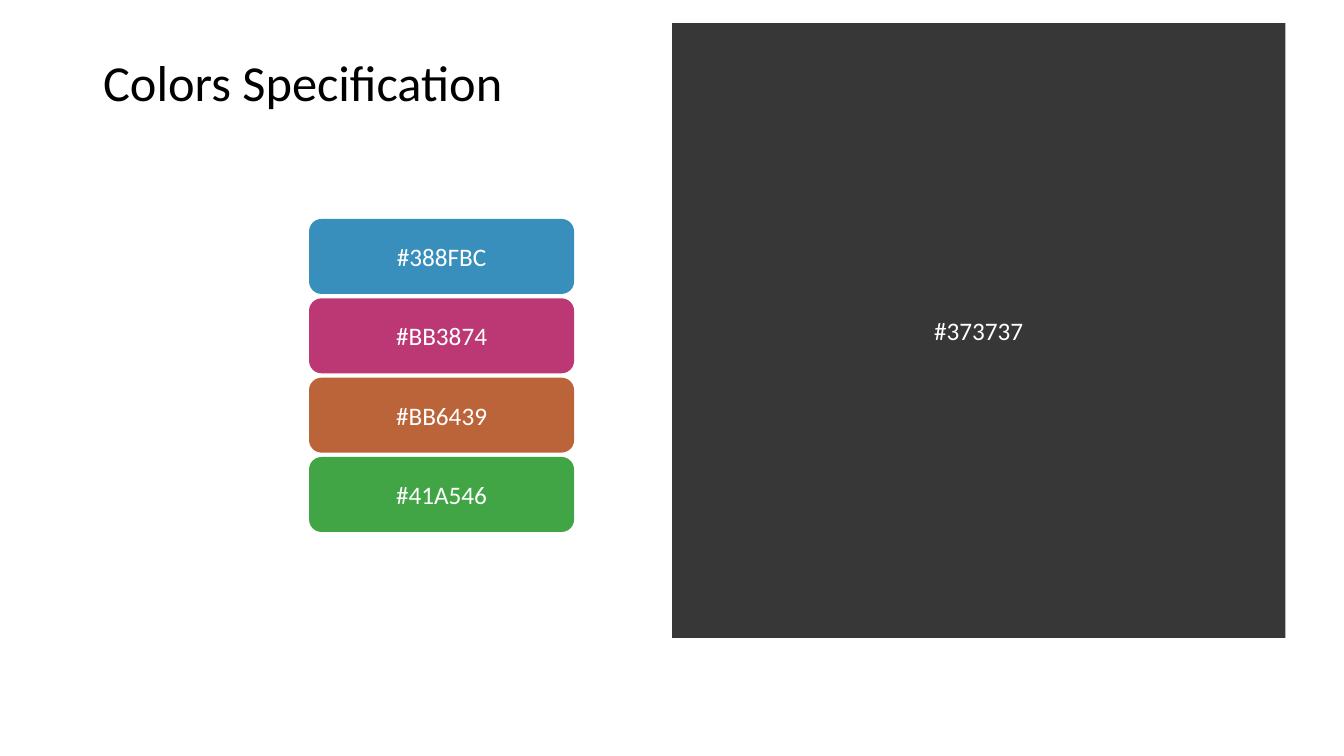
from pptx import Presentation
from pptx.dml.color import RGBColor
from pptx.enum.shapes import MSO_SHAPE
from pptx.enum.text import MSO_ANCHOR, MSO_AUTO_SIZE, PP_ALIGN
from pptx.util import Inches, Pt

HEADING = "Colors Specification"
BLACK = RGBColor(0x00, 0x00, 0x00)
WHITE = RGBColor(0xFF, 0xFF, 0xFF)
CHARCOAL = RGBColor(0x37, 0x37, 0x37)
BLUE = RGBColor(0x38, 0x8F, 0xBC)
MAGENTA = RGBColor(0xBB, 0x38, 0x74)
ORANGE = RGBColor(0xBB, 0x64, 0x39)
GREEN = RGBColor(0x41, 0xA5, 0x46)
ACCENTS = [BLUE, MAGENTA, ORANGE, GREEN]

# Lengths in pixels: left, top, width, height
HEADING_BOX = (93, 46, 698, 72)
BACKGROUND_BOX = (672, 23, 613, 615)
ACCENT_STACK = (309, 219, 265, 313)
ACCENT_HEIGHT = 75

HEADING_FONT = {"name": "Calibri", "size": Pt(36)}
LABEL_FONT = {"name": "Calibri", "size": Pt(18)}
HEADING_FRAME = {"vertical_anchor": MSO_ANCHOR.TOP, "word_wrap": True,
                 "auto_size": MSO_AUTO_SIZE.SHAPE_TO_FIT_TEXT}
LABEL_FRAME = {"vertical_anchor": MSO_ANCHOR.MIDDLE, "word_wrap": True}


def emu(box):
    """Turn pixel lengths into EMU."""
    return [round(length * Inches(1) / 100.8) for length in box]


def apply(target, values):
    """Set each attribute named in values."""
    for name, value in values.items():
        setattr(target, name, value)


def write(shape, wording, frame, font, color, alignment):
    """Put one formatted paragraph into a shape."""
    apply(shape.text_frame, frame)
    paragraph = shape.text_frame.paragraphs[0]
    paragraph.alignment = alignment
    run = paragraph.add_run()
    run.text = wording
    apply(run.font, font)
    run.font.color.rgb = color


def add_swatch(slide, outline, box, color):
    """Draw a colour field labelled with its own hex code."""
    swatch = slide.shapes.add_shape(outline, *emu(box))
    swatch.shadow.inherit = False
    swatch.fill.solid()
    swatch.fill.fore_color.rgb = color
    swatch.line.fill.background()
    write(swatch, f"#{color}", LABEL_FRAME, LABEL_FONT, WHITE, PP_ALIGN.CENTER)


deck = Presentation()
deck.slide_width, deck.slide_height = Inches(13.33), Inches(7.5)
slide = deck.slides.add_slide(deck.slide_layouts[5])

heading = slide.shapes.title
apply(heading, dict(zip(("left", "top", "width", "height"), emu(HEADING_BOX))))
write(heading, HEADING, HEADING_FRAME, HEADING_FONT, BLACK, PP_ALIGN.LEFT)

add_swatch(slide, MSO_SHAPE.RECTANGLE, BACKGROUND_BOX, CHARCOAL)

left, top, width, height = ACCENT_STACK
pitch = (height - ACCENT_HEIGHT) / (len(ACCENTS) - 1)
for row, accent in enumerate(ACCENTS):
    accent_box = (left, top + row * pitch, width, ACCENT_HEIGHT)
    add_swatch(slide, MSO_SHAPE.ROUNDED_RECTANGLE, accent_box, accent)

deck.save("out.pptx")
